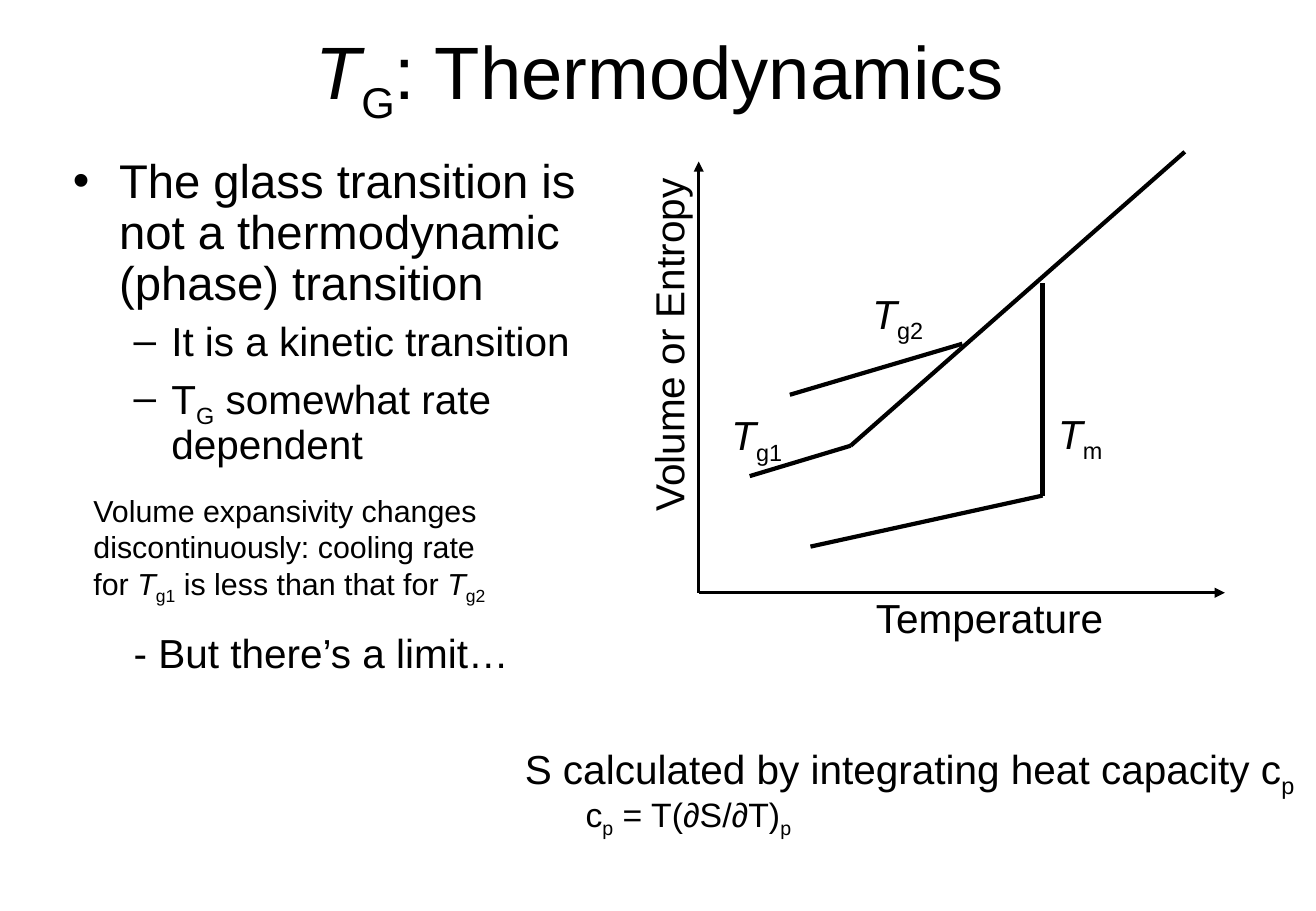
from pptx import Presentation
from pptx.dml.color import RGBColor
from pptx.enum.shapes import MSO_CONNECTOR
from pptx.enum.text import MSO_ANCHOR, MSO_AUTO_SIZE, PP_ALIGN
from pptx.oxml.ns import qn
from pptx.util import Inches, Pt
from lxml.etree import SubElement

COLORS = {"ink": "000000", "paper": "FFFFFF"}


def write(paragraph, pieces, size, color, font, align=PP_ALIGN.LEFT, level=0,
          margin=0, indent=0, bullet=None, spacing=1.0, before=0):
    paragraph.alignment = align
    paragraph.level = level
    paragraph.line_spacing = spacing
    paragraph.space_before = Pt(before)
    paragraph.space_after = Pt(0)
    props = paragraph._p.get_or_add_pPr()
    props.set("marL", str(Inches(margin)))
    props.set("indent", str(Inches(indent)))
    if bullet:
        SubElement(props, qn("a:buFont"), typeface=font)
        SubElement(props, qn("a:buChar"), char=bullet)
    else:
        SubElement(props, qn("a:buNone"))
    for piece in pieces:
        words, mark = piece if isinstance(piece, tuple) else (piece, "")
        run = paragraph.add_run()
        run.text = words
        run.font.name = font
        run.font.size = Pt(size)
        run.font.color.rgb = RGBColor.from_string(color)
        run.font.italic = mark == "italic"
        if mark == "sub":
            run._r.get_or_add_rPr().set("baseline", "-25000")


def symbol(subscript):
    return [("T", "italic"), (subscript, "sub")]


class SlideBuilder:
    def __init__(self, slide, font="Arial"):
        self.slide = slide
        self.font = font
        self.ink = COLORS["ink"]
        slide.background.fill.solid()
        slide.background.fill.fore_color.rgb = RGBColor.from_string(COLORS["paper"])

    def fill_frame(self, frame, paragraphs, anchor=MSO_ANCHOR.TOP, wrap=True):
        frame.word_wrap = wrap
        frame.auto_size = MSO_AUTO_SIZE.NONE
        frame.vertical_anchor = anchor
        for index, (pieces, style) in enumerate(paragraphs):
            paragraph = frame.add_paragraph() if index else frame.paragraphs[0]
            write(paragraph, pieces, color=self.ink, font=self.font, **style)

    def placeholder(self, index, box, paragraphs, anchor=MSO_ANCHOR.TOP):
        holder = self.slide.placeholders[index]
        holder.left, holder.top, holder.width, holder.height = map(Inches, box)
        self.fill_frame(holder.text_frame, paragraphs, anchor)

    def label(self, box, paragraphs, wrap=True, rotation=0):
        label = self.slide.shapes.add_textbox(*map(Inches, box))
        label.rotation = rotation
        self.fill_frame(label.text_frame, paragraphs, wrap=wrap)

    def line(self, start, end, width=2.5, arrow=False):
        line = self.slide.shapes.add_connector(
            MSO_CONNECTOR.STRAIGHT, *map(Inches, start + end))
        line.line.color.rgb = RGBColor.from_string(self.ink)
        line.line.width = Pt(width)
        if arrow:
            SubElement(line.line._get_or_add_ln(), qn("a:tailEnd"), type="triangle")
        SubElement(line._element.spPr, qn("a:effectLst"))


def main():
    deck = Presentation()
    deck.slide_width, deck.slide_height = Inches(10.83), Inches(7.5)
    page = SlideBuilder(deck.slides.add_slide(deck.slide_layouts[1]))

    page.placeholder(0, (0.83, 0, 9.21, 1.25), [
        ([("T", "italic"), ("G", "sub"), ": Thermodynamics"],
         dict(size=44, align=PP_ALIGN.CENTER)),
    ], MSO_ANCHOR.MIDDLE)

    main_point = dict(size=28, margin=0.38, indent=-0.38, bullet="•", spacing=0.9)
    sub_point = dict(size=24, level=1, margin=0.81, indent=-0.31, spacing=0.9)
    dashed = dict(sub_point, bullet="–", before=6)
    page.placeholder(1, (0.5, 1.25, 4.52, 5.08), [
        (["The glass transition is not a thermodynamic (phase) transition"], main_point),
        (["It is a kinetic transition"], dashed),
        (["T", ("G", "sub"), " somewhat rate dependent"], dashed),
        (["- But there’s a limit…"], dict(sub_point, before=98)),
    ])

    origin = (5.75, 4.88)
    for axis_end in [(5.75, 1.33), (10.08, 4.88)]:
        page.line(origin, axis_end, width=2, arrow=True)

    liquid, slow_glass = (9.75, 1.25), (7, 3.67)
    melting, crystal = (8.58, 2.33), (8.58, 4.08)
    for start, end in [
        ((7.92, 2.83), (6.5, 3.25)),
        (liquid, slow_glass),
        (slow_glass, (6.17, 3.92)),
        (melting, crystal),
        (crystal, (6.67, 4.5)),
    ]:
        page.line(start, end)

    large = dict(size=24)
    page.label((4.02, 2.57, 2.97, 0.51), [(["Volume or Entropy"], large)],
               wrap=False, rotation=270)
    page.label((7.11, 4.83, 2.56, 0.5), [(["Temperature"], large)])
    for subscript, left, top in [("m", 8.61, 3.32), ("g1", 5.92, 3.33), ("g2", 7.08, 2.33)]:
        page.label((left, top, 0.65, 0.5), [(symbol(subscript), large)], wrap=False)

    page.label((0.67, 4, 3.58, 1), [
        (["Volume expansivity changes discontinuously: cooling rate for ",
          *symbol("g1"), " is less than that for ", *symbol("g2")], dict(size=18)),
    ])
    page.label((4.22, 6.08, 6.61, 1.14), [
        (["S calculated by integrating heat capacity c", ("p", "sub")],
         dict(size=24, spacing=0.9)),
        (["c", ("p", "sub"), " = T(∂S/∂T)", ("p", "sub")],
         dict(size=20, level=1, margin=0.5, spacing=0.9)),
    ], wrap=False)

    deck.save("out.pptx")


if __name__ == "__main__":
    main()
